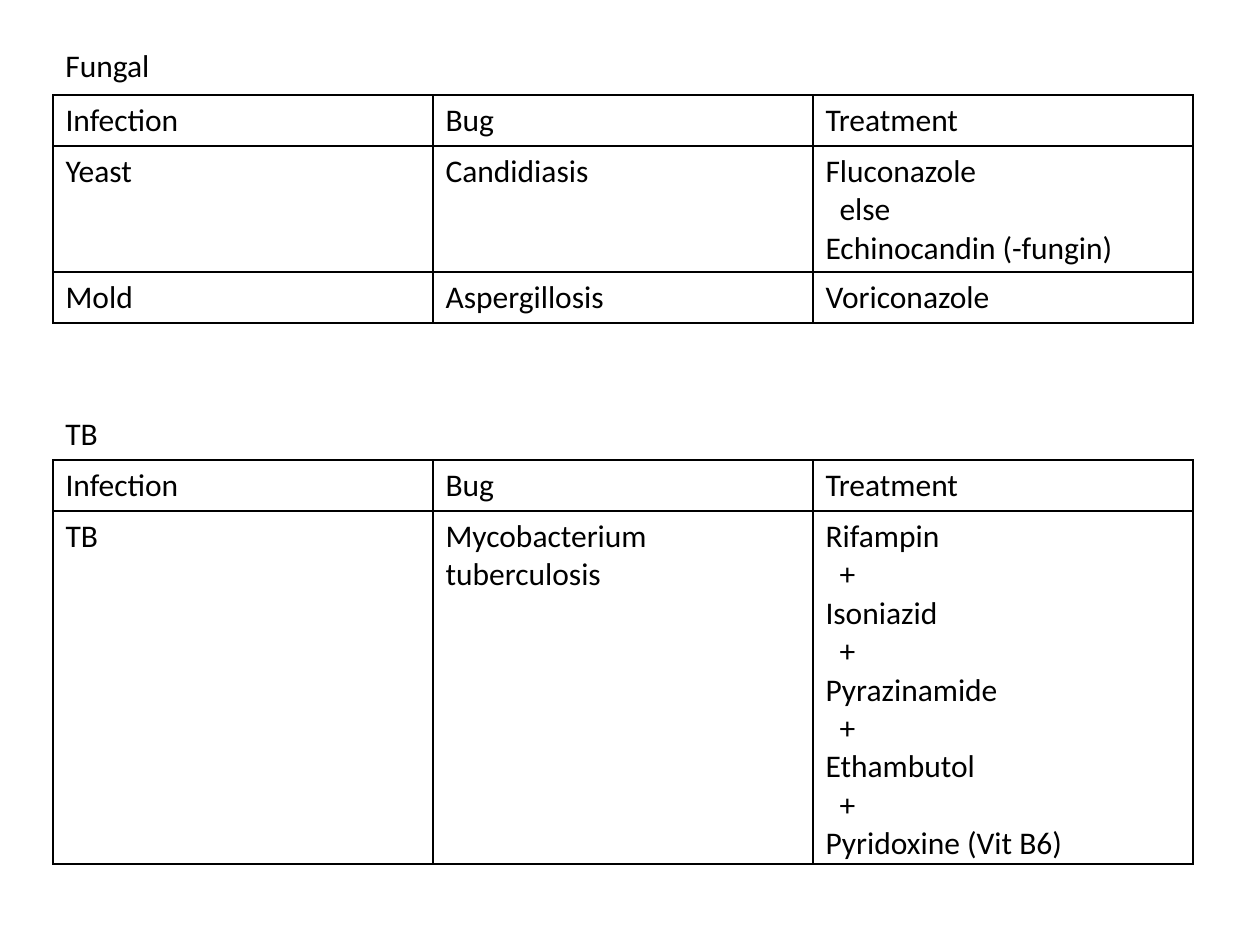
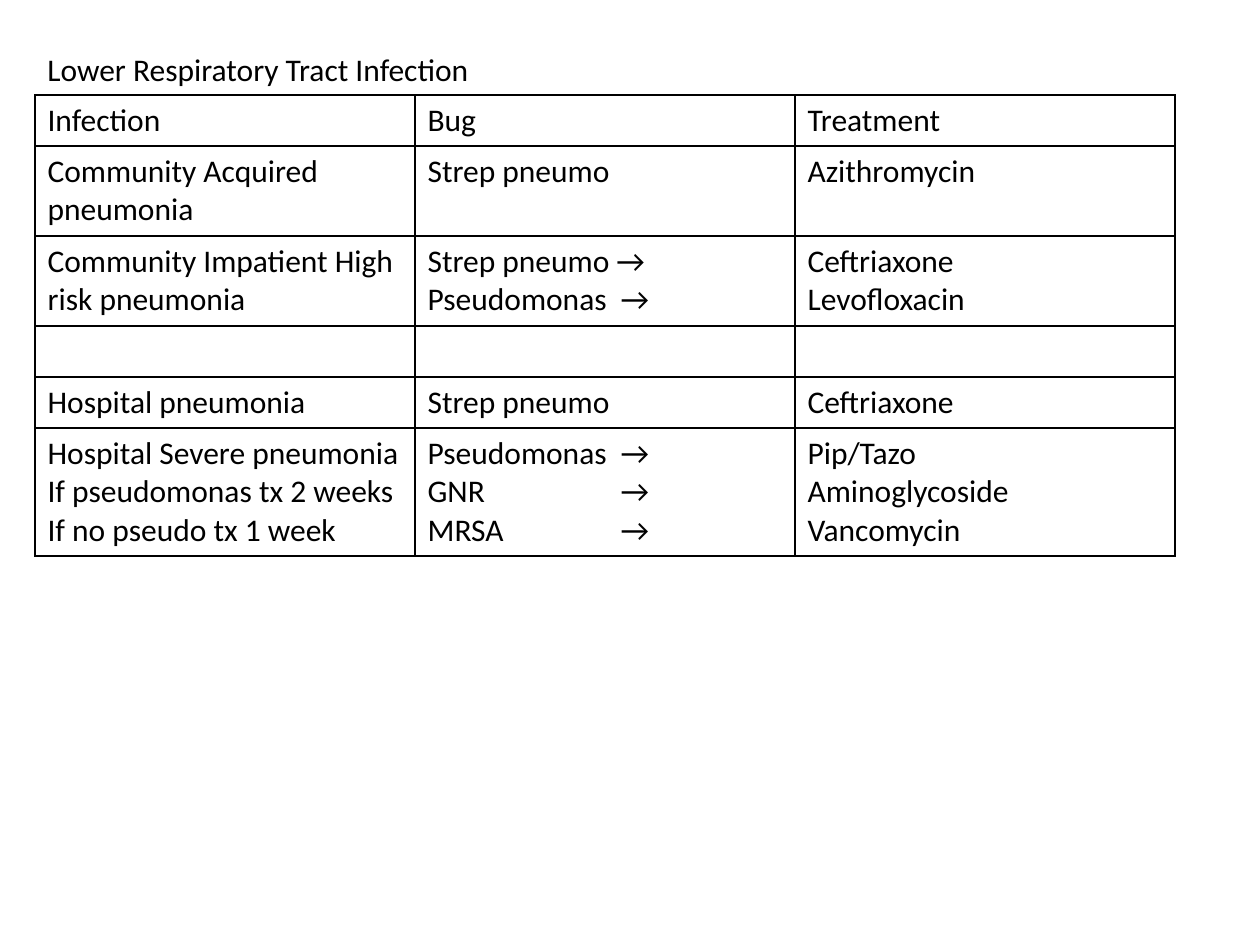
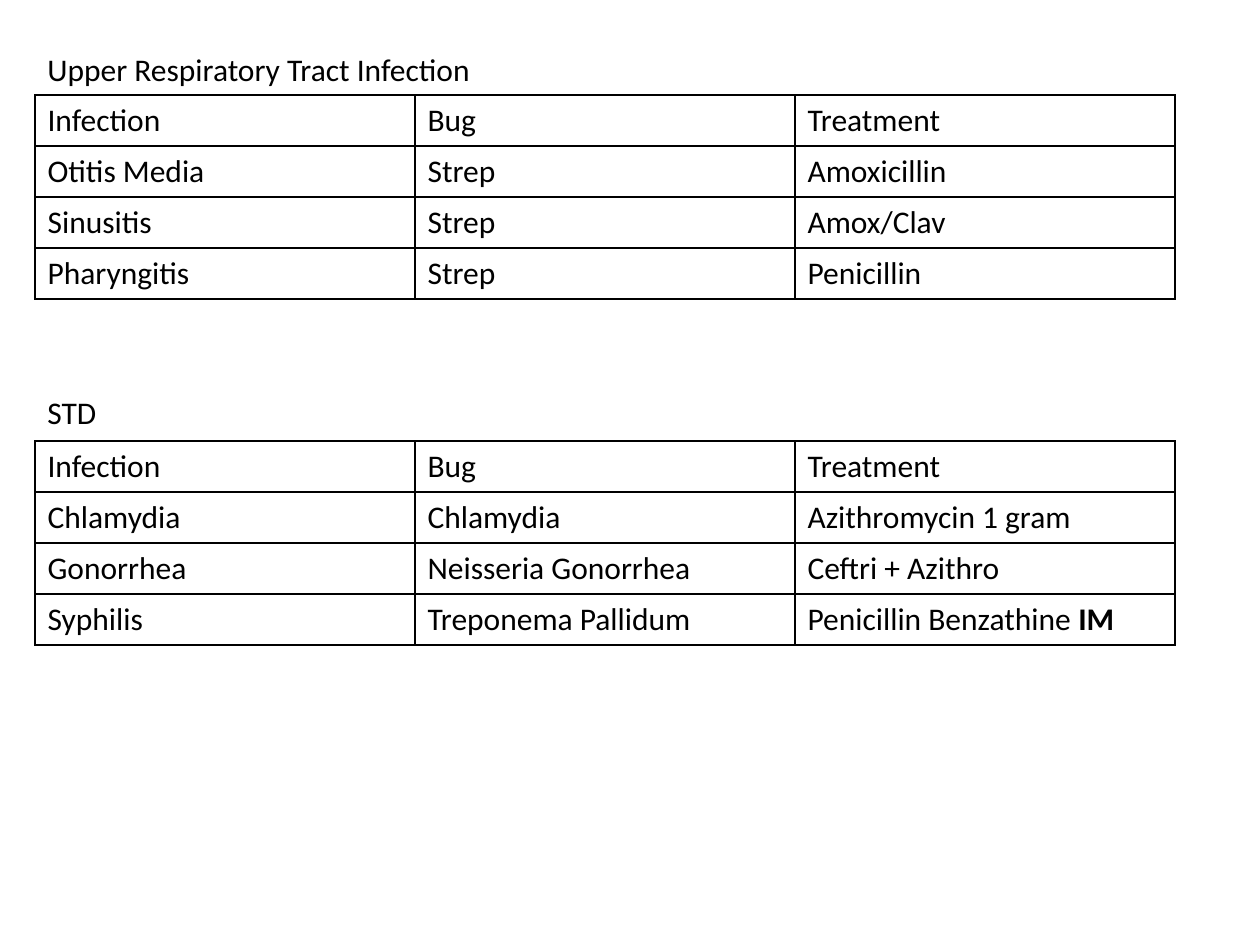
"""Build three slides of infection, bug and treatment tables."""
from dataclasses import dataclass

from lxml import etree
from pptx import Presentation
from pptx import util as u
from pptx.dml import color
from pptx.enum import text
from pptx.oxml import ns

PX_PER_INCH = 126
HEADER = ("Infection", "Bug", "Treatment")


@dataclass(frozen=True)
class Theme:
    """Colours, type and table measures shared by all slides."""
    ink: str = "000000"
    font: str = "Calibri"
    size: int = 18
    rule: int = 1
    column: int = 380
    row: int = 51
    title_height: int = 51
    indent: int = 14
    arrow_stop: int = 193


@dataclass(frozen=True)
class Line:
    """One paragraph with an optional indent and bold ending."""
    words: str
    indent: int = 0
    bold_tail: str = ""


@dataclass(frozen=True)
class Section:
    """A titled table; heights override the usual row height by row index."""
    title: str
    title_top: int
    title_width: int
    left: int
    top: int
    rows: tuple
    heights: tuple = ()


THEME = Theme()


def joined(word: str, *names: str) -> tuple:
    """Return the names with an indented joining word between them."""
    lines = [Line(names[0])]
    for name in names[1:]:
        lines += [Line(word, THEME.indent), Line(name)]
    return tuple(lines)


SLIDES = (
    (
        Section("Fungal", 40, 111, 53, 95, (
            ("Yeast", "Candidiasis",
             joined("else", "Fluconazole", "Echinocandin (-fungin)")),
            ("Mold", "Aspergillosis", "Voriconazole"),
        ), ((1, 126),)),
        Section("TB", 408, 59, 53, 460, (
            ("TB", "Mycobacterium tuberculosis",
             joined("+", "Rifampin", "Isoniazid", "Pyrazinamide",
                    "Ethambutol", "Pyridoxine (Vit B6)")),
        ), ((1, 353),)),
    ),
    (
        Section("Lower Respiratory Tract Infection", 44, 456, 35, 95, (
            ("Community Acquired pneumonia", "Strep pneumo", "Azithromycin"),
            ("Community Impatient High risk pneumonia",
             ("Strep pneumo →", "Pseudomonas\t→"),
             ("Ceftriaxone", "Levofloxacin")),
            ("", "", ""),
            ("Hospital pneumonia", "Strep pneumo", "Ceftriaxone"),
            (("Hospital Severe pneumonia", "If pseudomonas tx 2 weeks",
              "If no pseudo tx 1 week"),
             ("Pseudomonas\t→", "GNR\t→", "MRSA\t→"),
             ("Pip/Tazo", "Aminoglycoside", "Vancomycin")),
        ), ((1, 90), (2, 90), (5, 128))),
    ),
    (
        Section("Upper Respiratory Tract Infection", 44, 457, 35, 95, (
            ("Otitis Media", "Strep", "Amoxicillin"),
            ("Sinusitis", "Strep", "Amox/Clav"),
            ("Pharyngitis", "Strep", "Penicillin"),
        )),
        Section("STD", 387, 76, 35, 441, (
            ("Chlamydia", "Chlamydia", "Azithromycin 1 gram"),
            ("Gonorrhea", "Neisseria Gonorrhea", "Ceftri + Azithro"),
            ("Syphilis", "Treponema Pallidum",
             (Line("Penicillin Benzathine ", bold_tail="IM"),)),
        )),
    ),
)


def px(length: int) -> u.Emu:
    """Turn pixels into EMU."""
    return u.Emu(round(length * u.Inches(1) / PX_PER_INCH))


def add_span(para, words: str, *, bold: bool = False) -> None:
    """Add one run in the theme's type."""
    span = para.add_run()
    span.text = words
    span.font.name = THEME.font
    span.font.size = u.Pt(THEME.size)
    span.font.bold = bold
    span.font.color.rgb = color.RGBColor.from_string(THEME.ink)


def write(frame, content, *, align=text.PP_ALIGN.LEFT) -> None:
    """Fill a text frame with a string or with several lines."""
    lines = (content,) if isinstance(content, str) else content
    for index, item in enumerate(lines):
        line = Line(item) if isinstance(item, str) else item
        para = frame.add_paragraph() if index else frame.paragraphs[0]
        para.alignment = align
        properties = para._p.get_or_add_pPr()
        if line.indent:
            properties.set("marL", str(px(line.indent)))
        if "\t" in line.words:
            stops = etree.SubElement(properties, ns.qn("a:tabLst"))
            etree.SubElement(stops, ns.qn("a:tab"),
                             pos=str(px(THEME.arrow_stop)), algn="l")
        if line.words:
            add_span(para, line.words)
        if line.bold_tail:
            add_span(para, line.bold_tail, bold=True)


def rule_cell(cell) -> None:
    """Draw the four borders of a cell and leave it unfilled."""
    properties = cell._tc.get_or_add_tcPr()
    for side in ("lnL", "lnR", "lnT", "lnB"):
        border = etree.SubElement(properties, ns.qn(f"a:{side}"),
                                  w=str(u.Pt(THEME.rule)))
        fill = etree.SubElement(border, ns.qn("a:solidFill"))
        etree.SubElement(fill, ns.qn("a:srgbClr"), val=THEME.ink)
    cell.fill.background()


def add_title(page, section: Section) -> None:
    """Add the title above a table."""
    box = page.shapes.add_textbox(px(section.left), px(section.title_top),
                                  px(section.title_width),
                                  px(THEME.title_height))
    box.text_frame.word_wrap = False
    box.text_frame.auto_size = text.MSO_AUTO_SIZE.SHAPE_TO_FIT_TEXT
    write(box.text_frame, section.title)


def add_grid(page, section: Section) -> None:
    """Add the ruled table of a section."""
    rows = (HEADER, *section.rows)
    special = dict(section.heights)
    heights = [special.get(index, THEME.row) for index in range(len(rows))]
    table = page.shapes.add_table(
        len(rows), len(HEADER), px(section.left), px(section.top),
        px(THEME.column * len(HEADER)), px(sum(heights))).table
    table.first_row = False
    table.horz_banding = False
    for column in table.columns:
        column.width = px(THEME.column)
    for row, height, contents in zip(table.rows, heights, rows):
        row.height = px(height)
        for cell, content in zip(row.cells, contents):
            rule_cell(cell)
            write(cell.text_frame, content)


def main() -> None:
    """Build and save the deck."""
    deck = Presentation()
    deck.slide_width = px(1260)
    deck.slide_height = px(945)
    for sections in SLIDES:
        page = deck.slides.add_slide(deck.slide_layouts[6])
        for section in sections:
            add_title(page, section)
            add_grid(page, section)
    deck.save("out.pptx")


if __name__ == "__main__":
    main()
